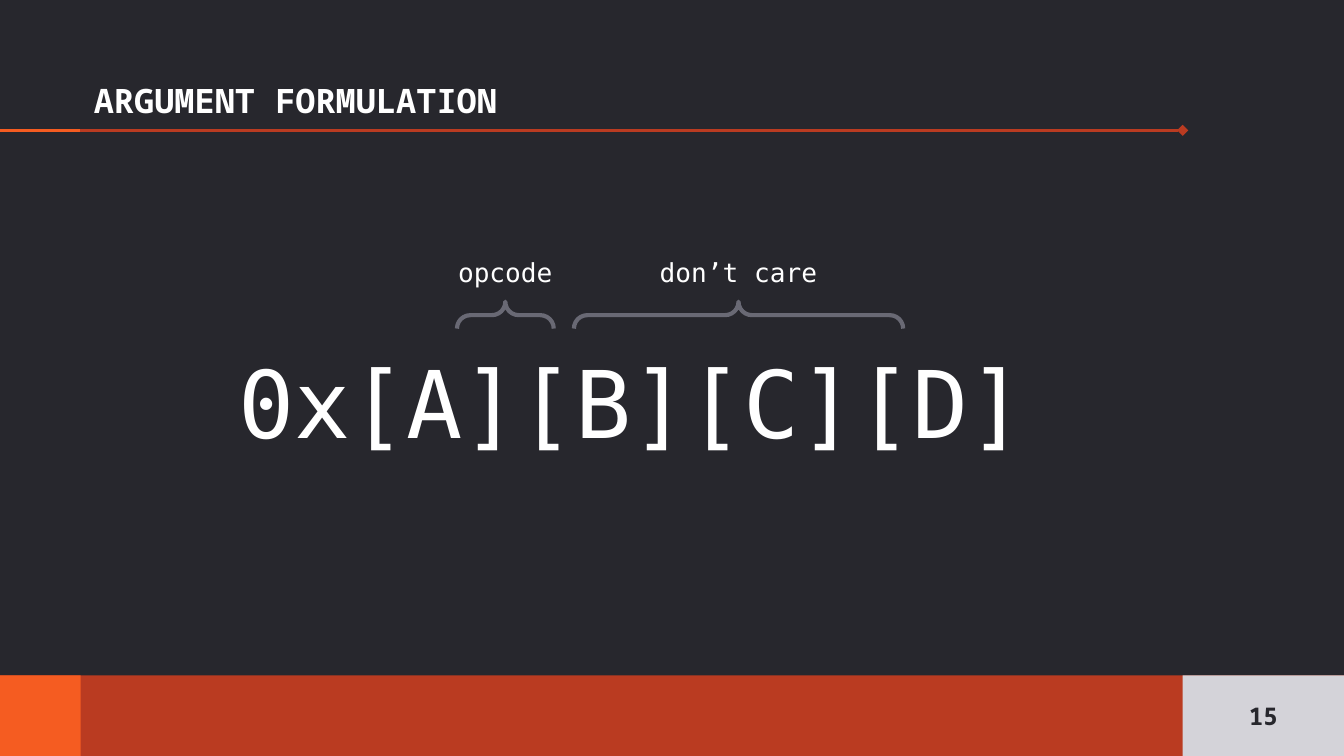
from lxml import etree
from pptx import Presentation
from pptx import util as u
from pptx.dml.color import RGBColor
from pptx.enum import shapes, text
from pptx.oxml.ns import qn

PX = 4572  # EMU per px, 200 px to the inch
WIDTH, HEIGHT = 2000, 1125
FOOTER_HEIGHT = 120
FOOTER_TOP = HEIGHT - FOOTER_HEIGHT
RULE_Y = 194
DARK, RUST, ORANGE = "27272D", "BA3B21", "F55C21"
PALE, GRAY, WHITE = "D4D3D9", "696974", "FFFFFF"
HEADING_FONT, CODE_FONT = "Noto Sans Mono", "DejaVu Sans Mono"


def px(*lengths):
    return [u.Emu(length * PX) for length in lengths]


def color(value):
    return RGBColor.from_string(value)


def set_values(target, values):
    for name, value in values.items():
        setattr(target, name, value)


def add_block(slide, box, fill):
    block = slide.shapes.add_shape(shapes.MSO_SHAPE.RECTANGLE, *px(*box))
    block.shadow.inherit = False
    block.fill.solid()
    block.fill.fore_color.rgb = color(fill)
    block.line.fill.background()


def add_rule(slide, end_x, stroke, tail=None):
    rule = slide.shapes.add_connector(
        shapes.MSO_CONNECTOR.STRAIGHT, *px(-2, RULE_Y, end_x, RULE_Y))
    rule.line.color.rgb = color(stroke)
    rule.line.width = u.Pt(1.5)
    if tail:
        outline = rule._element.spPr.find(qn("a:ln"))
        etree.SubElement(outline, qn("a:tailEnd"), type=tail)
    etree.SubElement(rule._element.spPr, qn("a:effectLst"))


def add_brace(slide, box):
    brace = slide.shapes.add_shape(shapes.MSO_SHAPE.RIGHT_BRACE, *px(*box))
    brace.shadow.inherit = False
    brace.rotation = 270
    brace.adjustments[0] = brace.adjustments[1] = 0.5
    brace.fill.background()
    brace.line.color.rgb = color(GRAY)
    brace.line.width = u.Pt(2.25)


def add_text(slide, box, words, size, font=CODE_FONT, ink=WHITE, bold=False,
             anchor=text.MSO_ANCHOR.TOP, align=text.PP_ALIGN.CENTER,
             fit=text.MSO_AUTO_SIZE.NONE, spacing=None):
    frame = slide.shapes.add_textbox(*px(*box)).text_frame
    set_values(frame, {"word_wrap": True, "auto_size": fit,
                       "vertical_anchor": anchor})
    for side in ("left", "top", "right", "bottom"):
        setattr(frame, f"margin_{side}", u.Inches(0.1))
    paragraph = frame.paragraphs[0]
    set_values(paragraph, {"alignment": align, **(spacing or {})})
    run = paragraph.add_run()
    run.text = words
    set_values(run.font, {"name": font, "size": u.Pt(size), "bold": bold})
    run.font.color.rgb = color(ink)


def main():
    deck = Presentation()
    deck.slide_width, deck.slide_height = px(WIDTH, HEIGHT)
    slide = deck.slides.add_slide(deck.slide_layouts[6])
    slide.background.fill.solid()
    slide.background.fill.fore_color.rgb = color(DARK)

    # Title rule and footer bands
    page_box = (1760, FOOTER_TOP, 240, FOOTER_HEIGHT)
    add_rule(slide, 1760, RUST, tail="diamond")
    add_block(slide, (0, FOOTER_TOP, WIDTH, FOOTER_HEIGHT), RUST)
    add_block(slide, (0, FOOTER_TOP, 120, FOOTER_HEIGHT), ORANGE)
    add_rule(slide, 119, ORANGE)
    add_block(slide, page_box, PALE)

    # Title, argument layout and page number
    add_text(slide, (120, 79, 1640, 120), "ARGUMENT FORMULATION", 18,
             font=HEADING_FONT, bold=True, anchor=text.MSO_ANCHOR.BOTTOM,
             align=text.PP_ALIGN.LEFT)
    add_text(slide, (120, 263, 1640, 644), "0x[A][B][C][D]", 50,
             anchor=text.MSO_ANCHOR.MIDDLE,
             spacing={"line_spacing": 1.15, "space_before": u.Pt(6)})
    add_text(slide, page_box, "15", 13, font=HEADING_FONT, ink=DARK,
             bold=True, anchor=text.MSO_ANCHOR.MIDDLE)

    # Braces with their labels
    for brace_box, label_x, label in (
            ((1079, 224, 40, 490), 947, "don’t care"),
            ((732, 397, 40, 144), 600, "opcode")):
        add_brace(slide, brace_box)
        add_text(slide, (label_x, 362, 304, 88), label, 14,
                 fit=text.MSO_AUTO_SIZE.SHAPE_TO_FIT_TEXT)

    deck.save("out.pptx")


if __name__ == "__main__":
    main()
